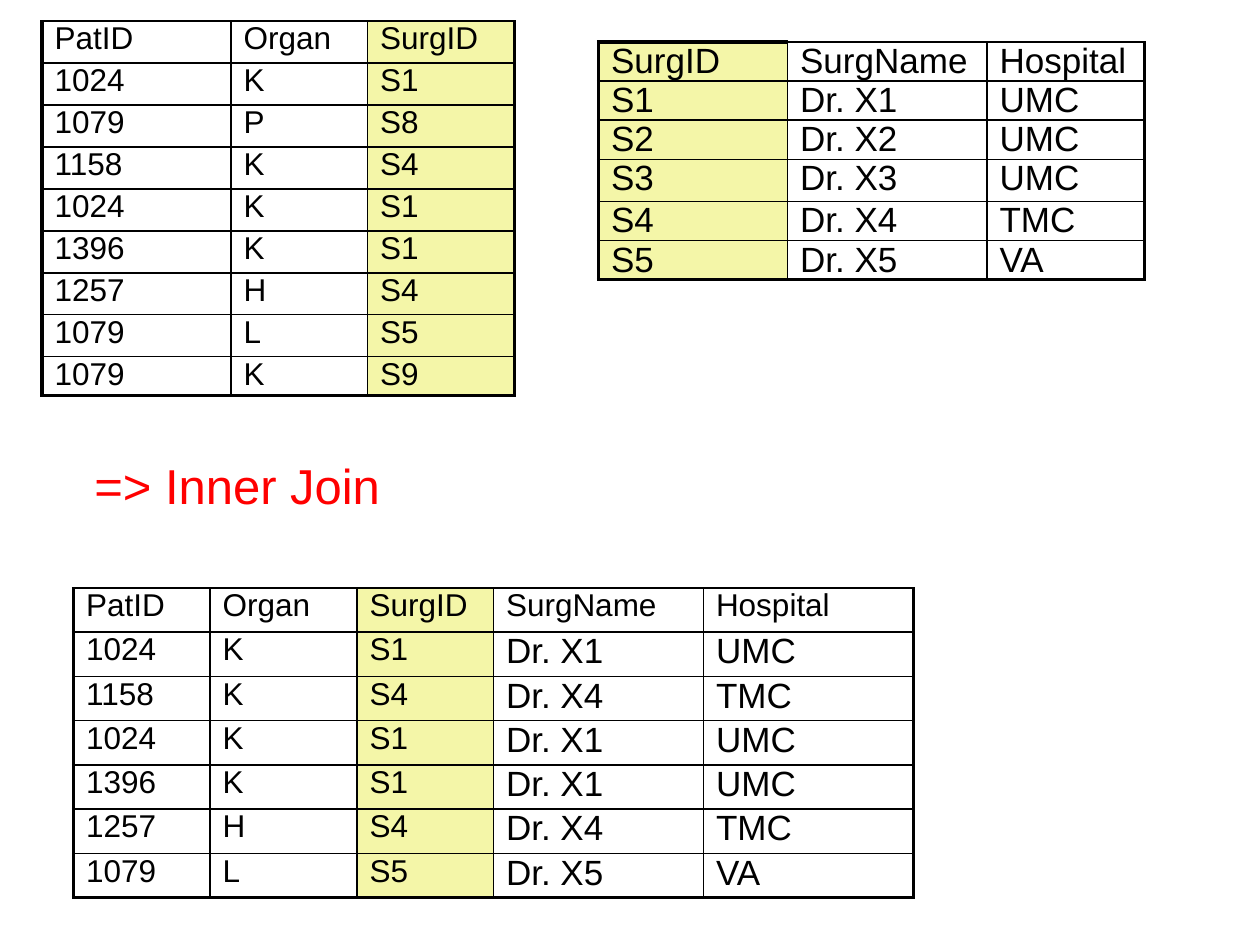
from dataclasses import dataclass

from lxml.etree import SubElement
from pptx import Presentation
from pptx.dml.color import RGBColor
from pptx.enum.text import MSO_AUTO_SIZE
from pptx.oxml.ns import qn
from pptx.util import Pt


@dataclass(frozen=True)
class Theme:
    font: str = "Arial"
    ink: str = "000000"
    paper: str = "FFFFFF"
    key: str = "F4F6A8"
    accent: str = "FF0000"
    small: int = 18
    large: int = 20
    label: int = 28
    thin: float = 1
    thick: float = 2.25


THEME = Theme()
KEY = "SurgID"

PATIENTS = [
    ("PatID", "Organ", KEY),
    ("1024", "K", "S1"),
    ("1079", "P", "S8"),
    ("1158", "K", "S4"),
    ("1024", "K", "S1"),
    ("1396", "K", "S1"),
    ("1257", "H", "S4"),
    ("1079", "L", "S5"),
    ("1079", "K", "S9"),
]
SURGEONS = [
    (KEY, "SurgName", "Hospital"),
    ("S1", "Dr. X1", "UMC"),
    ("S2", "Dr. X2", "UMC"),
    ("S3", "Dr. X3", "UMC"),
    ("S4", "Dr. X4", "TMC"),
    ("S5", "Dr. X5", "VA"),
]


def join(left, right):
    """Inner join on the last column of left and the first of right."""
    lookup = {row[0]: row[1:] for row in right}
    return [row + lookup[row[-1]] for row in left if row[-1] in lookup]


def style(font, size, color):
    font.name = THEME.font
    font.size = Pt(size)
    font.color.rgb = RGBColor.from_string(color)


def set_edges(cell, widths):
    """Draw the cell borders; widths are left, right, top, bottom."""
    props = cell._tc.get_or_add_tcPr()
    for side, width in zip("LRTB", widths):
        line = SubElement(props, qn(f"a:ln{side}"), w=str(int(Pt(width))))
        fill = SubElement(line, qn("a:solidFill"))
        SubElement(fill, qn("a:srgbClr"), val=THEME.ink)


def fill_cell(cell, text, size, color):
    cell.margin_left = cell.margin_right = Pt(7.2)
    cell.margin_top = cell.margin_bottom = 0
    cell.text_frame.text = text
    style(cell.text_frame.paragraphs[0].runs[0].font, size, THEME.ink)
    if color:
        cell.fill.solid()
        cell.fill.fore_color.rgb = RGBColor.from_string(color)
    else:
        cell.fill.background()


def draw_table(slide, box, data, cols, rows, is_large, key_top=THEME.thin):
    """Large cells stay clear, small ones are white, the key column is tinted."""
    frame = slide.shapes.add_table(len(rows), len(cols), *map(Pt, box))
    table = frame.table
    table.first_row = table.horz_banding = False
    for col, width in zip(table.columns, cols):
        col.width = Pt(width)
    for row, height in zip(table.rows, rows):
        row.height = Pt(height)
    frame.height = Pt(box[3])

    def edge(outer):
        return THEME.thick if outer else THEME.thin

    for r, record in enumerate(data):
        for c, text in enumerate(record):
            cell = table.cell(r, c)
            is_key = data[0][c] == KEY
            top = key_top if is_key and r == 0 else THEME.thin
            set_edges(cell, (edge(c == 0), edge(c == len(cols) - 1),
                             top, edge(r == len(rows) - 1)))
            large = is_large(r, c)
            color = THEME.key if is_key else None if large else THEME.paper
            fill_cell(cell, text, THEME.large if large else THEME.small, color)


def draw_label(slide, box, text):
    frame = slide.shapes.add_textbox(*map(Pt, box)).text_frame
    frame.word_wrap = False
    frame.auto_size = MSO_AUTO_SIZE.SHAPE_TO_FIT_TEXT
    frame.text = text
    style(frame.paragraphs[0].runs[0].font, THEME.label, THEME.accent)


def main():
    deck = Presentation()
    deck.slide_width, deck.slide_height = Pt(720), Pt(540)
    slide = deck.slides.add_slide(deck.slide_layouts[6])
    draw_table(slide, (24, 12, 270, 214), PATIENTS, (108, 78, 84),
               [24] * 8 + [22], lambda r, c: False)
    draw_table(slide, (342, 24, 312, 144), SURGEONS, (108, 114, 90),
               (13, 16, 16, 24, 16, 15), lambda r, c: True, THEME.thick)
    joined = join(PATIENTS, SURGEONS)
    draw_table(slide, (42, 336, 480, 177.1), joined, (78, 84, 78, 120, 120),
               [25.3] * len(joined), lambda r, c: r > 0 and c > 2)
    draw_label(slide, (46.8, 257, 178.6, 41), "=> Inner Join")
    deck.save("out.pptx")


if __name__ == "__main__":
    main()
